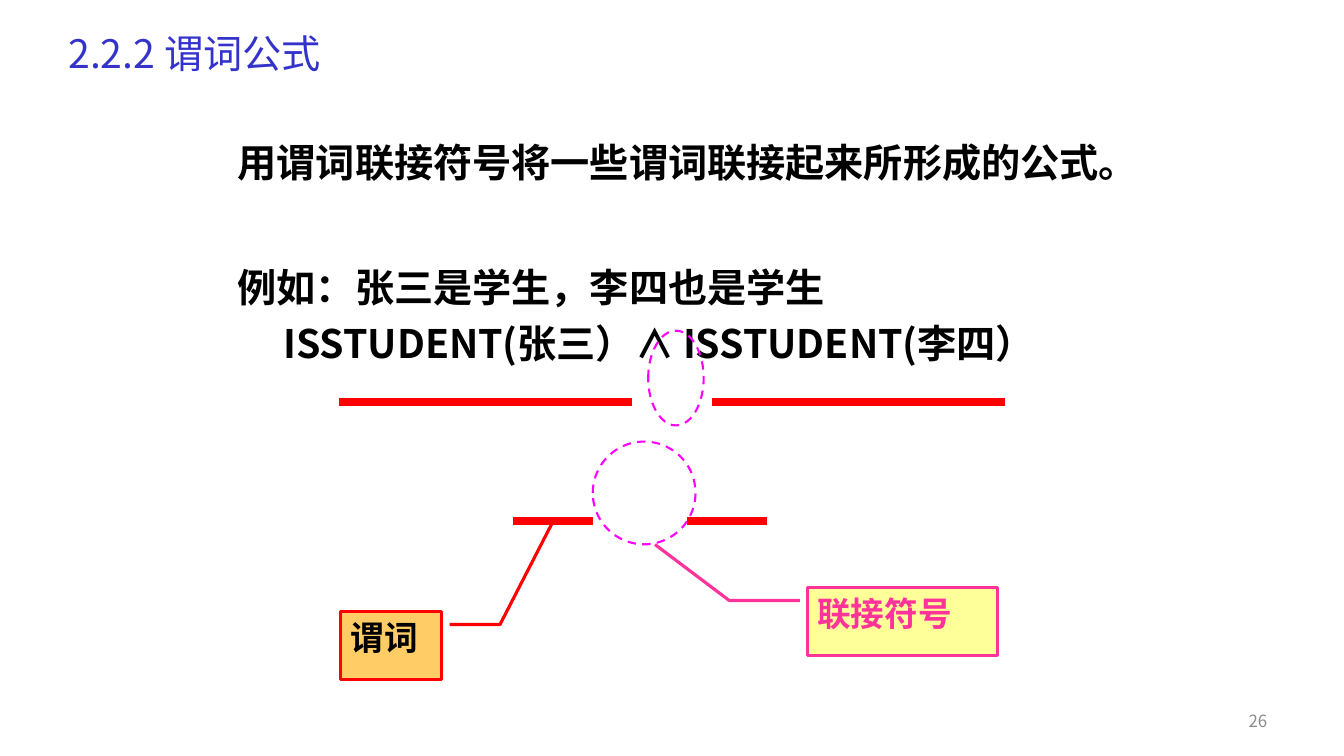
from lxml import etree
from pptx import Presentation
from pptx.dml.color import RGBColor
from pptx.enum.dml import MSO_LINE
from pptx.enum.shapes import MSO_CONNECTOR, MSO_SHAPE
from pptx.enum.text import MSO_ANCHOR, PP_ALIGN
from pptx.oxml.ns import qn
from pptx.util import Pt

STRAIGHT = MSO_CONNECTOR.STRAIGHT
ELLIPSE = MSO_SHAPE.OVAL
CALLOUT = MSO_SHAPE.LINE_CALLOUT_2
DASH = MSO_LINE.DASH
TOP, MIDDLE = MSO_ANCHOR.TOP, MSO_ANCHOR.MIDDLE
LEFT, RIGHT = PP_ALIGN.LEFT, PP_ALIGN.RIGHT

FONT = "Noto Sans CJK SC"
BLACK, RED, MAGENTA, PINK = "000000", "FF0000", "FF00FF", "FF3399"


def color(value):
    return RGBColor.from_string(value)


class SlideBuilder:
    def __init__(self, slide, font):
        self.shapes = slide.shapes
        self.font = font

    def fill_text(self, frame, lines, size, ink, bold=False, align=LEFT, anchor=TOP, spacing=1.0):
        """Fill a text frame with one paragraph per line in a single style."""
        frame.word_wrap = True
        frame.vertical_anchor = anchor
        frame.text = "\n".join(lines)
        for para in frame.paragraphs:
            para.alignment = align
            para.line_spacing = spacing
            for span in para.runs:
                span.font.name = self.font
                span.font.size = Pt(size)
                span.font.bold = bold
                span.font.color.rgb = color(ink)
                latin = span._r.rPr.find(qn("a:latin"))
                latin.addnext(etree.Element(qn("a:ea"), typeface=self.font))

    def text(self, left, top, width, height, lines, size, ink, **style):
        box = self.shapes.add_textbox(Pt(left), Pt(top), Pt(width), Pt(height))
        self.fill_text(box.text_frame, lines, size, ink, **style)
        return box.text_frame.paragraphs

    def underline(self, left, y, length):
        line = self.shapes.add_connector(STRAIGHT, Pt(left), Pt(y), Pt(left + length), Pt(y))
        line.line.color.rgb = color(RED)
        line.line.width = Pt(6)
        etree.SubElement(line._element.spPr, qn("a:effectLst"))

    def ring(self, left, top, width, height):
        """Draw a dashed ellipse around a connective."""
        shape = self.shapes.add_shape(ELLIPSE, Pt(left), Pt(top), Pt(width), Pt(height))
        shape.shadow.inherit = False
        shape.fill.background()
        shape.line.color.rgb = color(MAGENTA)
        shape.line.width = Pt(1.5)
        shape.line.dash_style = DASH

    def callout(self, left, top, width, height, label, fill, edge, ink, leader):
        """Draw a label whose leader is y, x pairs as fractions of the box."""
        shape = self.shapes.add_shape(CALLOUT, Pt(left), Pt(top), Pt(width), Pt(height))
        shape.shadow.inherit = False
        for index, value in enumerate(leader):
            shape.adjustments[index] = value
        shape.fill.solid()
        shape.fill.fore_color.rgb = color(fill)
        shape.line.color.rgb = color(edge)
        shape.line.width = Pt(2.25)
        self.fill_text(shape.text_frame, [label], 24, ink, bold=True)


def main():
    deck = Presentation()
    deck.slide_width, deck.slide_height = Pt(960), Pt(540)
    page = SlideBuilder(deck.slides.add_slide(deck.slide_layouts[6]), FONT)

    page.text(688.3, 500.4, 223.9, 28.8, ["26"], 12, "8C8C8C", align=RIGHT, anchor=MIDDLE)
    page.text(41.8, 14.4, 864, 51.1, ["2.2.2 谓词公式"], 28, "3333CC", anchor=MIDDLE, spacing=0.9)

    definition, example, formula = page.text(
        162.7, 88.6, 635.8, 215.3,
        ["用谓词联接符号将一些谓词联接起来所形成的公式。",
         "例如：张三是学生，李四也是学生",
         "ISSTUDENT(张三）∧ ISSTUDENT(李四）"],
        28, BLACK, bold=True, spacing=1.2)
    example.space_before = Pt(48.6)
    formula._p.get_or_add_pPr().set("marL", str(Pt(32.5)))

    for left in (241.9, 508.3):
        page.underline(left, 287.3, 209.5)
    page.ring(463, 236.2, 39.6, 67.7)
    for left in (366.5, 491):
        page.underline(left, 372.2, 56.9)
    page.ring(423.4, 315.4, 73.4, 73.4)

    page.callout(243.4, 437, 72, 48.2, "谓词", "FFCC66", RED, BLACK,
                 (0.19, 1.08, 0.19, 1.58, -1.35, 2.11))
    page.callout(576.7, 419.8, 136.1, 48.2, "联接符号", "FFFF99", PINK, PINK,
                 (0.19, -0.04, 0.19, -0.41, -0.64, -0.8))

    deck.save("out.pptx")


if __name__ == "__main__":
    main()
